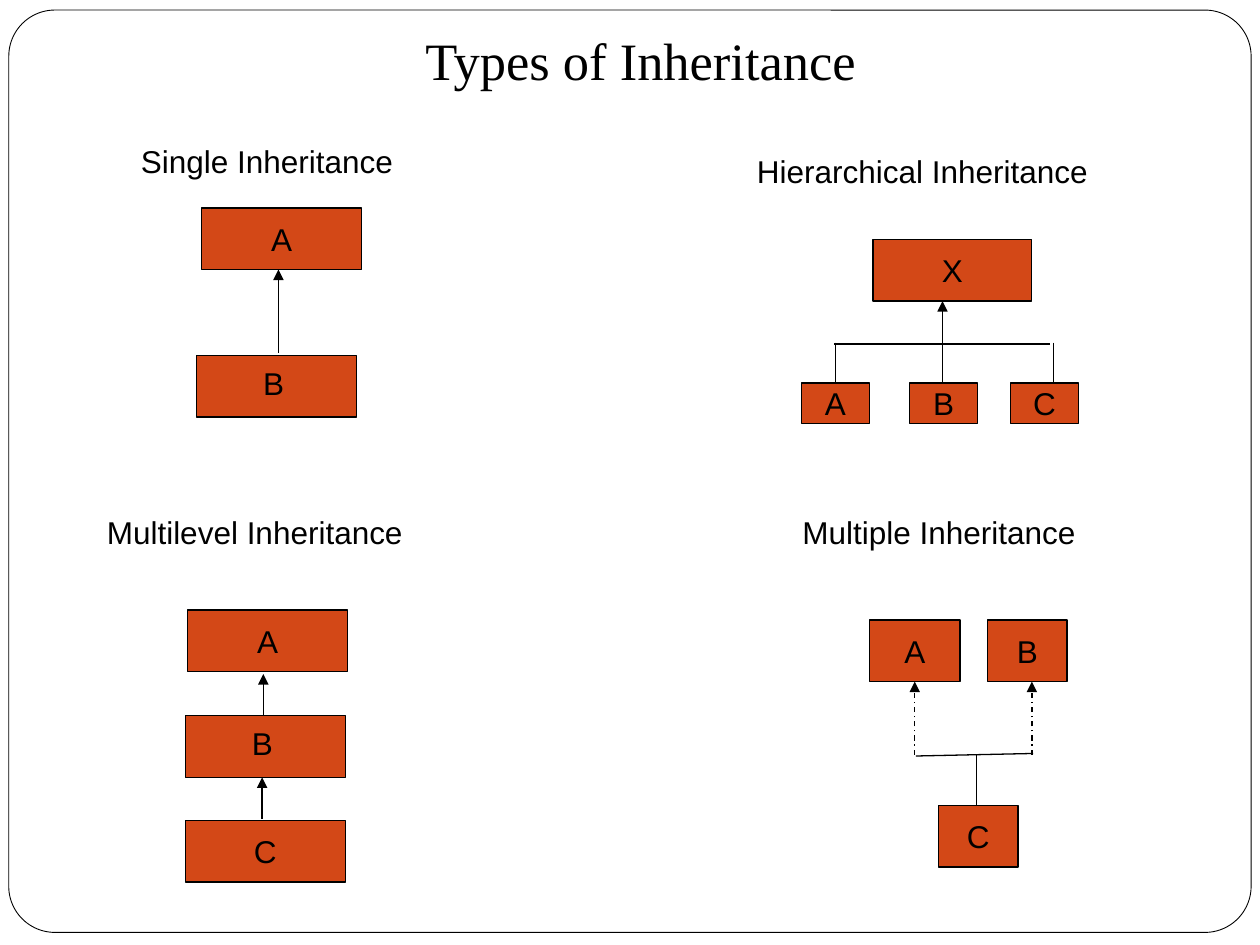
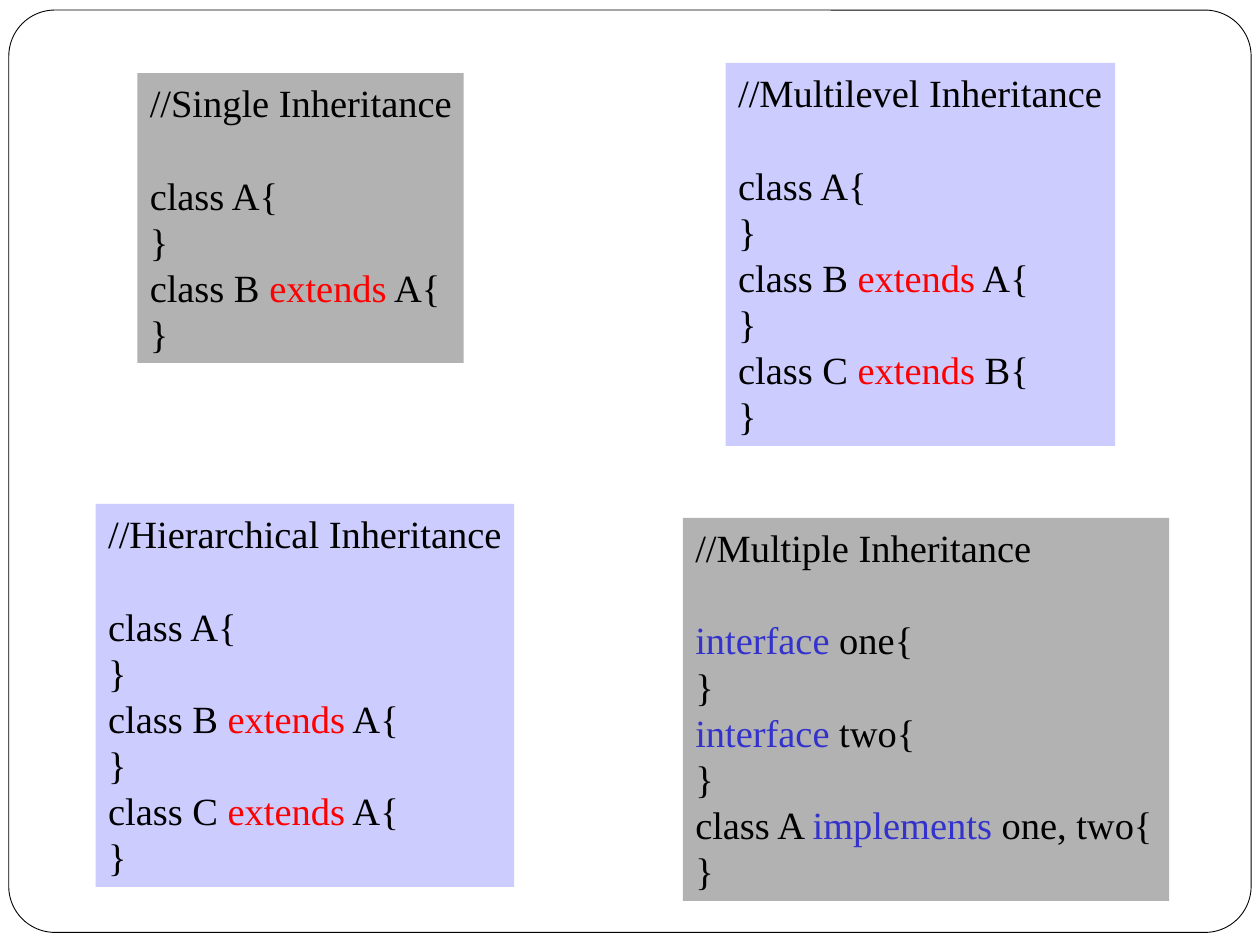
from dataclasses import dataclass

from lxml.etree import SubElement
from pptx import Presentation
from pptx.dml.color import RGBColor
from pptx.enum.dml import MSO_LINE
from pptx.enum.shapes import MSO_CONNECTOR, MSO_SHAPE
from pptx.enum.text import MSO_ANCHOR, MSO_AUTO_SIZE, PP_ALIGN
from pptx.oxml.ns import qn
from pptx.util import Inches, Pt

TOP, BOTTOM = 0, 2


@dataclass(frozen=True)
class Theme:
    ink: RGBColor = RGBColor(0x00, 0x00, 0x00)
    class_fill: RGBColor = RGBColor(0xD3, 0x48, 0x17)
    gray_panel: RGBColor = RGBColor(0xB2, 0xB2, 0xB2)
    lilac_panel: RGBColor = RGBColor(0xCC, 0xCC, 0xFF)
    red_keyword: RGBColor = RGBColor(0xFF, 0x00, 0x00)
    blue_keyword: RGBColor = RGBColor(0x33, 0x33, 0xCC)
    diagram_font: str = "Arial"
    text_font: str = "Times New Roman"
    title_size: float = 30
    code_size: float = 22
    label_size: float = 18
    line_height: float = 1.2
    frame_line: float = 0.5
    diagram_line: float = 0.75


THEME = Theme()
KEYWORD_COLORS = {
    "extends": THEME.red_keyword,
    "interface": THEME.blue_keyword,
    "implements": THEME.blue_keyword,
}


def style_paragraph(paragraph, font_name, size, alignment=PP_ALIGN.LEFT):
    paragraph.alignment = alignment
    paragraph.line_spacing = Pt(size * THEME.line_height)
    paragraph.font.name = font_name
    paragraph.font.size = Pt(size)
    paragraph.font.color.rgb = THEME.ink


def add_rectangle(slide, left, top, width, height, fill=None, line_width=None,
                  preset=MSO_SHAPE.RECTANGLE):
    shape = slide.shapes.add_shape(
        preset, Inches(left), Inches(top), Inches(width), Inches(height))
    shape.shadow.inherit = False
    if fill is None:
        shape.fill.background()
    else:
        shape.fill.solid()
        shape.fill.fore_color.rgb = fill
    if line_width is None:
        shape.line.fill.background()
    else:
        shape.line.color.rgb = THEME.ink
        shape.line.width = Pt(line_width)
    return shape


def add_text(slide, text, left, top, width, height, font_name, size,
             alignment=PP_ALIGN.LEFT, wrap=False):
    text_box = slide.shapes.add_textbox(
        Inches(left), Inches(top), Inches(width), Inches(height))
    frame = text_box.text_frame
    frame.word_wrap = wrap
    frame.auto_size = MSO_AUTO_SIZE.SHAPE_TO_FIT_TEXT
    frame.text = text
    style_paragraph(frame.paragraphs[0], font_name, size, alignment)


@dataclass
class Diagram:
    """Places the parts of one diagram relative to its left top corner."""
    slide: object
    left: float
    top: float

    def heading(self, text, width):
        add_text(self.slide, text, self.left, self.top, width, 0.4,
                 THEME.diagram_font, THEME.label_size, wrap=True)

    def letter(self, text, x, y):
        add_text(self.slide, text, self.left + x, self.top + y, 0.36, 0.4,
                 THEME.diagram_font, THEME.label_size)

    def class_box(self, text, x, y, width=1.27, height=0.49):
        shape = add_rectangle(self.slide, self.left + x, self.top + y, width,
                              height, THEME.class_fill, THEME.diagram_line)
        if text:
            frame = shape.text_frame
            frame.word_wrap = False
            frame.vertical_anchor = MSO_ANCHOR.MIDDLE
            frame.text = text
            style_paragraph(frame.paragraphs[0], THEME.diagram_font,
                            THEME.label_size, PP_ALIGN.CENTER)
        return shape

    def line(self, x1, y1, x2, y2, arrow=False, dash=None):
        connector = self.slide.shapes.add_connector(
            MSO_CONNECTOR.STRAIGHT,
            Inches(self.left + x1), Inches(self.top + y1),
            Inches(self.left + x2), Inches(self.top + y2))
        connector.line.color.rgb = THEME.ink
        connector.line.width = Pt(THEME.diagram_line)
        if dash:
            connector.line.dash_style = dash
        if arrow:
            SubElement(connector.line._get_or_add_ln(), qn("a:tailEnd"),
                       type="triangle")
        SubElement(connector._element.spPr, qn("a:effectLst"))
        return connector


def draw_single(slide, left, top):
    diagram = Diagram(slide, left, top)
    diagram.heading("Single Inheritance", 2.53)
    diagram.class_box("", 0.54, 1.74)
    diagram.class_box("A", 0.58, 0.57)
    diagram.line(1.19, 1.72, 1.19, 1.06, arrow=True)
    diagram.letter("B", 0.97, 1.76)


def draw_hierarchical(slide, left, top):
    diagram = Diagram(slide, left, top)
    diagram.heading("Hierarchical Inheritance", 3.26)
    diagram.class_box("X", 1.02, 0.74, 1.26)
    diagram.line(1.57, 1.56, 1.57, 1.23, arrow=True)
    diagram.line(0.71, 1.57, 2.42, 1.57)
    children = (("A", 0.45, 0.72), ("B", 1.31, 1.57), ("C", 2.11, 2.45))
    for name, box_x, line_x in children:
        box = diagram.class_box(name, box_x, 1.88, 0.54, 0.32)
        drop = diagram.line(line_x, 1.56, line_x, 1.88)
        if name == "A":
            drop.end_connect(box, TOP)


def draw_multilevel(slide, left, top):
    diagram = Diagram(slide, left, top)
    diagram.heading("Multilevel Inheritance", 3.26)
    diagram.class_box("A", 0.74, 0.82)
    diagram.class_box("", 0.72, 1.66)
    diagram.letter("B", 1.15, 1.68)
    diagram.class_box("C", 0.72, 2.49)
    for x, y in ((1.34, 1.66), (1.33, 2.48)):
        diagram.line(x, y, x, y - 0.33, arrow=True)


def draw_multiple(slide, left, top):
    diagram = Diagram(slide, left, top)
    diagram.heading("Multiple Inheritance", 2.62)
    parent_a = diagram.class_box("A", 0.63, 0.9, 0.72)
    diagram.class_box("B", 1.57, 0.9, 0.63)
    diagram.class_box("C", 1.18, 2.37, 0.63)
    arrow_a, _ = [
        diagram.line(x, 1.97, x, 1.39, arrow=True, dash=MSO_LINE.DASH_DOT)
        for x in (0.99, 1.92)]
    arrow_a.end_connect(parent_a, BOTTOM)
    diagram.line(1, 1.98, 1.93, 1.96)
    diagram.line(1.48, 1.97, 1.48, 2.37)


def add_code_line(paragraph, line):
    """Writes one line of code with its keyword, if any, in colour."""
    keyword = next((word for word in KEYWORD_COLORS if word in line), None)
    for part in line.partition(keyword) if keyword else (line,):
        if part:
            run = paragraph.add_run()
            run.text = part
            if part == keyword:
                run.font.color.rgb = KEYWORD_COLORS[keyword]
    style_paragraph(paragraph, THEME.text_font, THEME.code_size)


def draw_code_panel(slide, box, fill, comment, declarations):
    """Shows a comment, a gap of one line, and empty declarations."""
    frame = add_rectangle(slide, *box, fill).text_frame
    frame.word_wrap = True
    frame.margin_right = Inches(0.05)
    frame.vertical_anchor = MSO_ANCHOR.TOP
    heading = frame.paragraphs[0]
    add_code_line(heading, comment)
    heading.space_after = Pt(THEME.code_size * THEME.line_height)
    for declaration in declarations:
        for line in (declaration + "{", "}"):
            add_code_line(frame.add_paragraph(), line)


def add_framed_slide(presentation):
    slide = presentation.slides.add_slide(presentation.slide_layouts[6])
    border = add_rectangle(slide, 0.07, 0.08, 9.86, 7.32,
                           line_width=THEME.frame_line,
                           preset=MSO_SHAPE.ROUNDED_RECTANGLE)
    border.adjustments[0] = 0.05
    return slide


def build_diagram_slide(presentation):
    slide = add_framed_slide(presentation)
    draw_single(slide, 1.02, 1.08)
    draw_hierarchical(slide, 5.91, 1.16)
    draw_multilevel(slide, 0.75, 4.02)
    draw_multiple(slide, 6.27, 4.02)
    add_text(slide, "Types of Inheritance", 3.26, 0.17, 3.65, 0.6,
             THEME.text_font, THEME.title_size, PP_ALIGN.CENTER)


def build_code_slide(presentation):
    slide = add_framed_slide(presentation)
    draw_code_panel(slide, (1.09, 0.58, 2.59, 2.3), THEME.gray_panel,
                    "//Single Inheritance",
                    ("class A", "class B extends A"))
    draw_code_panel(slide, (0.76, 4, 3.32, 3.04), THEME.lilac_panel,
                    "//Hierarchical Inheritance",
                    ("class A", "class B extends A", "class C extends A"))
    draw_code_panel(slide, (5.42, 4.11, 3.86, 3.04), THEME.gray_panel,
                    "//Multiple Inheritance",
                    ("interface one", "interface two",
                     "class A implements one, two"))
    draw_code_panel(slide, (5.76, 0.5, 3.09, 3.04), THEME.lilac_panel,
                    "//Multilevel Inheritance",
                    ("class A", "class B extends A", "class C extends B"))


def main():
    presentation = Presentation()
    presentation.slide_width = Inches(10)
    presentation.slide_height = Inches(7.5)
    build_diagram_slide(presentation)
    build_code_slide(presentation)
    presentation.save("out.pptx")


if __name__ == "__main__":
    main()
